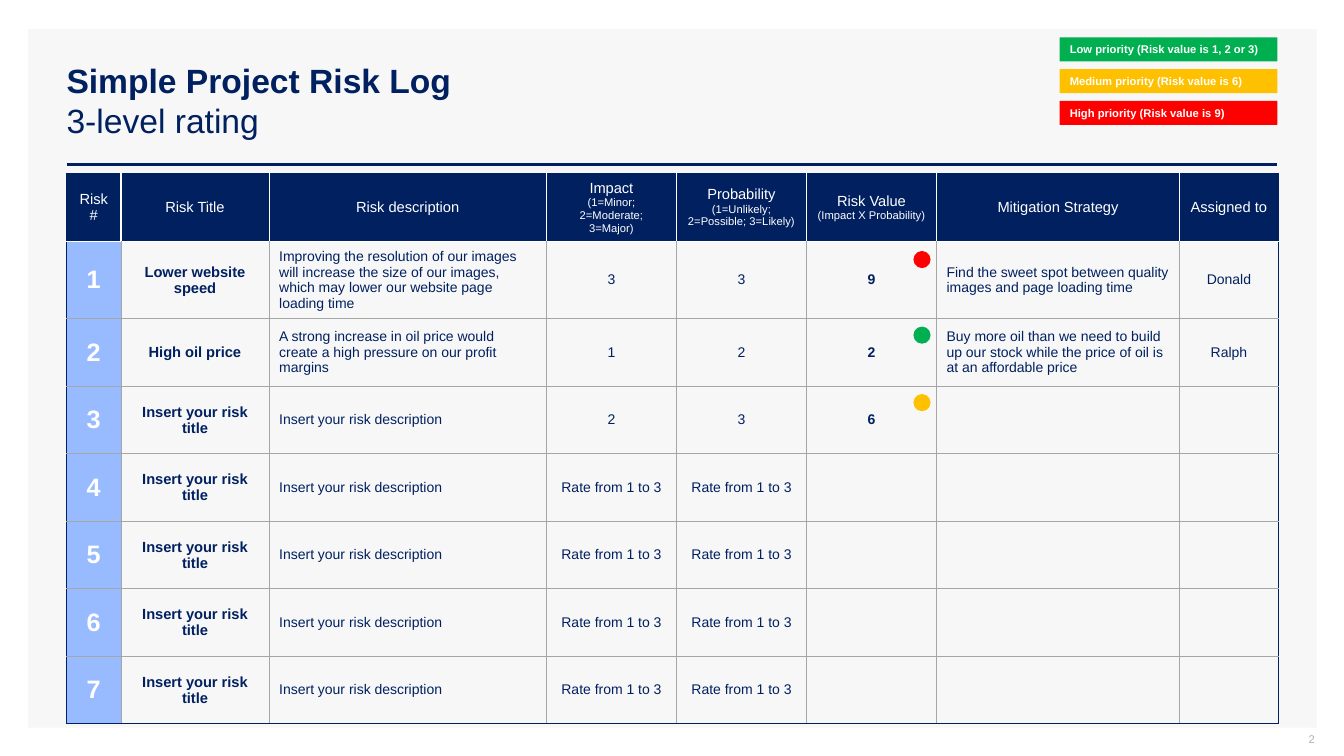
from lxml import etree
from pptx import Presentation
from pptx import util as u
from pptx.dml.color import RGBColor
from pptx.enum import shapes, text
from pptx.oxml import ns

HUES = {"navy": "002060", "white": "FFFFFF", "panel": "F7F7F7", "pale": "98BAFF",
        "grid": "A6A6A6", "note": "ADAFBB", "green": "00B050", "amber": "FFC000",
        "red": "FF0000"}
FONT = "Arial"
LEFT, CENTER, RIGHT = text.PP_ALIGN.LEFT, text.PP_ALIGN.CENTER, text.PP_ALIGN.RIGHT
MIDDLE = text.MSO_ANCHOR.MIDDLE

COLS = [0.54, 1.47, 2.75, 1.29, 1.29, 1.29, 2.41, 0.98]
ROW = 0.67
HEADS = [("Risk #",), ("Risk Title",), ("Risk description",),
         ("Impact", "(1=Minor; 2=Moderate; 3=Major)"),
         ("Probability", "(1=Unlikely; 2=Possible; 3=Likely)"),
         ("Risk Value", "(Impact X Probability)"),
         ("Mitigation Strategy",), ("Assigned to",)]
BLANK = ["Insert your risk title", "Insert your risk description"]
RATE = "Rate from 1 to 3"
RISKS = [
    ["Lower website speed",
     "Improving the resolution of our images will increase the size of our images, "
     "which may lower our website page loading time",
     "3", "3", "9",
     "Find the sweet spot between quality images and page loading time", "Donald"],
    ["High oil price",
     "A strong increase in oil price would create a high pressure on our profit margins",
     "1", "2", "2",
     "Buy more oil than we need to build up our stock while the price of oil is "
     "at an affordable price", "Ralph"],
    BLANK + ["2", "3", "6", "", ""],
] + [BLANK + [RATE, RATE, "", "", ""]] * 4

# Per column: size, colour, bold, alignment
LOOKS = [(18, "white", True, CENTER), (10.5, "navy", True, CENTER),
         (10, "navy", False, LEFT), (10, "navy", False, CENTER),
         (10, "navy", False, CENTER), (10, "navy", True, CENTER),
         (10, "navy", False, LEFT), (10, "navy", False, CENTER)]
KEYS = [("Low priority (Risk value is 1, 2 or 3)", "green"),
        ("Medium priority (Risk value is 6)", "amber"),
        ("High priority (Risk value is 9)", "red")]
DOTS = [(2.49, "red"), (3.24, "green"), (3.91, "amber")]


class Deck:
    def __init__(self):
        self.prs = Presentation()
        self.prs.slide_width, self.prs.slide_height = u.Inches(13.33), u.Inches(7.5)
        self.page = self.prs.slides.add_slide(self.prs.slide_layouts[5])

    def hue(self, name):
        return RGBColor.from_string(HUES[name])

    def run(self, para, words, size, color, bold=False):
        run = para.add_run()
        run.text = words
        font = run.font
        font.name, font.size, font.bold = FONT, u.Pt(size), bold
        font.color.rgb = self.hue(color)

    def frame(self, frame, left=0.1, top=0.05, right=0.1, bottom=0.05):
        frame.word_wrap = True
        frame.vertical_anchor = MIDDLE
        frame.margin_left, frame.margin_top = u.Inches(left), u.Inches(top)
        frame.margin_right, frame.margin_bottom = u.Inches(right), u.Inches(bottom)
        return frame.paragraphs[0]

    def shape(self, kind, x, y, w, h, color):
        shape = self.page.shapes.add_shape(kind, *map(u.Inches, (x, y, w, h)))
        shape.shadow.inherit = False
        shape.fill.solid()
        shape.fill.fore_color.rgb = self.hue(color)
        shape.line.fill.background()
        return shape

    def title(self, head, sub):
        box = self.page.shapes.title
        box.left, box.top = u.Inches(0.56), u.Inches(0.4)
        box.width, box.height = u.Inches(12.11), u.Inches(1.19)
        para = self.frame(box.text_frame)
        box.text_frame.auto_size = text.MSO_AUTO_SIZE.NONE
        para.alignment = LEFT
        self.run(para, head, 24, "navy", True)
        para.add_line_break()
        self.run(para, sub, 24, "navy")

    def panel(self, *area):
        back = self.shape(shapes.MSO_SHAPE.RECTANGLE, *area, "panel")
        self.page.shapes.title.element.addprevious(back.element)

    def rule(self, x, y, end):
        line = self.page.shapes.add_connector(
            shapes.MSO_CONNECTOR.STRAIGHT, *map(u.Inches, (x, y, end, y)))
        line.line.color.rgb, line.line.width = self.hue("navy"), u.Pt(2)
        etree.SubElement(line.element.spPr, ns.qn("a:effectLst"))

    def number(self, words):
        box = self.page.shapes.add_textbox(*map(u.Inches, (10.04, 7.25, 3, 0.21)))
        para = self.frame(box.text_frame, top=0, right=0)
        para.alignment = RIGHT
        self.run(para, words, 8, "note")

    def key(self, y, words, color):
        box = self.shape(shapes.MSO_SHAPE.ROUNDED_RECTANGLE, 10.51, y, 2.16, 0.24, color)
        box.adjustments[0] = 0.038
        para = self.frame(box.text_frame)
        para.alignment = LEFT
        para.space_before = para.space_after = u.Pt(3)
        self.run(para, words, 8, "white", True)

    def edges(self, cell, sides):
        props = cell._tc.get_or_add_tcPr()
        for spot, (side, (color, width)) in enumerate(sides.items()):
            line = etree.Element(ns.qn("a:ln" + side), w=str(u.Pt(width)))
            fill = etree.SubElement(line, ns.qn("a:solidFill"))
            etree.SubElement(fill, ns.qn("a:srgbClr"), val=HUES[color])
            props.insert(spot, line)

    def cell(self, cell, lines, align, fill, sides):
        cell.vertical_anchor = MIDDLE
        if fill:
            cell.fill.solid()
            cell.fill.fore_color.rgb = self.hue(fill)
        else:
            cell.fill.background()
        self.edges(cell, sides)
        for n, line in enumerate(lines):
            frame = cell.text_frame
            para = frame.add_paragraph() if n else frame.paragraphs[0]
            para.alignment = align
            if line[0]:
                self.run(para, *line)

    def table(self, x, y):
        count = len(RISKS) + 1
        grid = self.page.shapes.add_table(
            count, len(COLS), *map(u.Inches, (x, y, sum(COLS), ROW * count))).table
        for col, width in zip(grid.columns, COLS):
            col.width = u.Inches(width)
        for row in grid.rows:
            row.height = u.Inches(ROW)
        outer, inner, split = ("navy", 1), ("grid", 0.5), ("white", 1)
        last = len(COLS) - 1
        # Header row
        for c, head in enumerate(HEADS):
            lines = [(words, size, "white") for words, size in zip(head, (10.5, 8))]
            sides = {"L": split if c else outer, "R": split if c < last else outer,
                     "T": outer}
            self.cell(grid.cell(0, c), lines, CENTER, "navy", sides)
        # Risk rows
        for r, risk in enumerate(RISKS, 1):
            for c, words in enumerate([str(r)] + risk):
                size, color, bold, align = LOOKS[c]
                sides = {"L": inner if c else outer, "R": inner if c < last else outer}
                if r > 1:
                    sides["T"] = inner
                sides["B"] = inner if r < len(RISKS) else outer
                self.cell(grid.cell(r, c), [(words, size, color, bold)], align,
                          None if c else "pale", sides)


def main():
    deck = Deck()
    # Frame and heading
    deck.title("Simple Project Risk Log", "3-level rating")
    deck.panel(0.28, 0.29, 12.78, 6.93)
    deck.rule(0.66, 1.63, 12.67)
    deck.number("2")
    # Risk log
    deck.table(0.66, 1.72)
    # Priority key
    for n, (words, color) in enumerate(KEYS):
        deck.key(0.37 + 0.315 * n, words, color)
    # Priority dots
    for y, color in DOTS:
        deck.shape(shapes.MSO_SHAPE.OVAL, 9.06, y, 0.17, 0.17, color)
    deck.prs.save("out.pptx")


if __name__ == "__main__":
    main()
